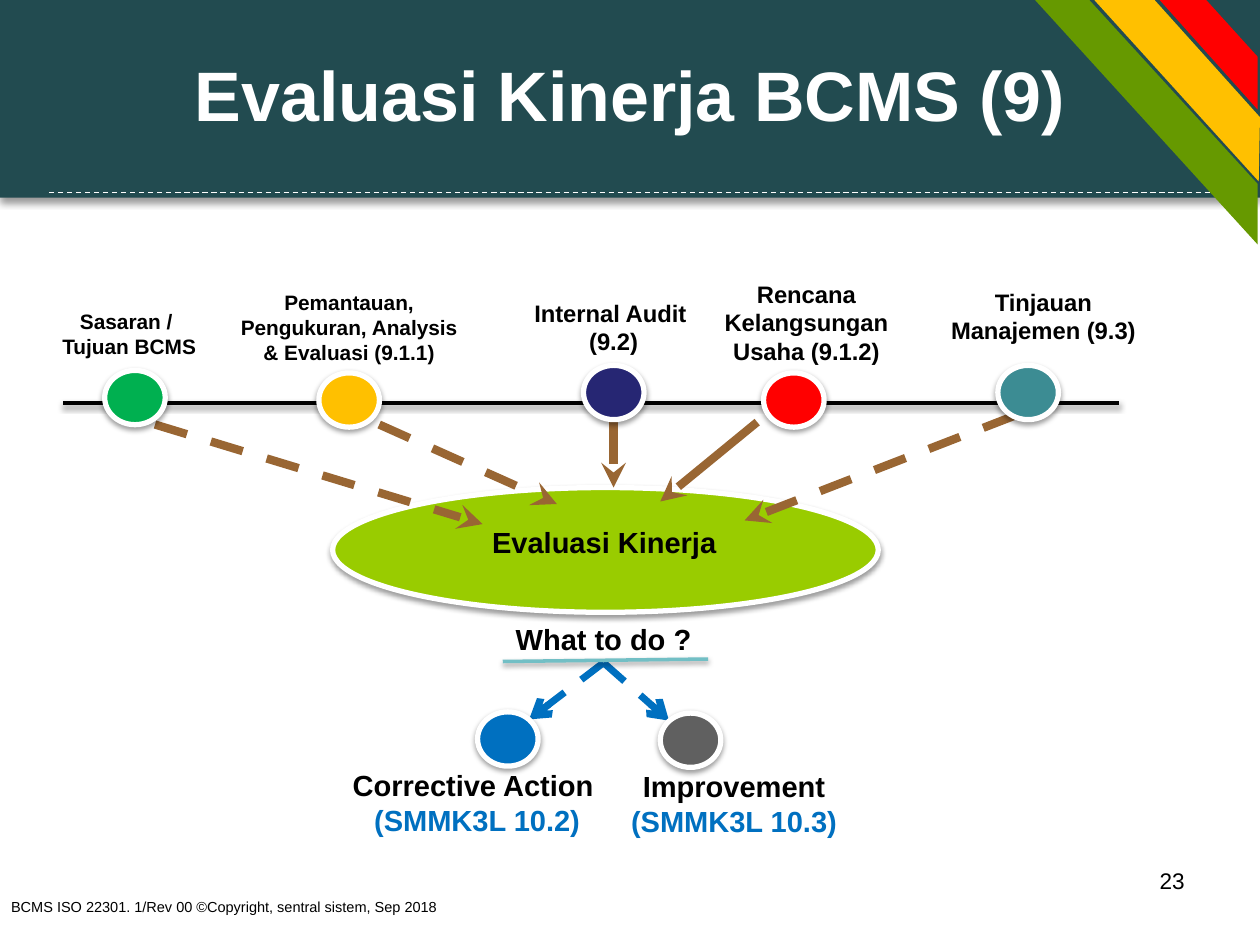
"""Build the BCMS performance evaluation slide."""
import lxml.etree
import pptx
import pptx.dml.color
import pptx.enum.dml
import pptx.enum.shapes
import pptx.enum.text
import pptx.oxml.ns
import pptx.util

Pt = pptx.util.Pt
qn = pptx.oxml.ns.qn
Align = pptx.enum.text.PP_ALIGN
Preset = pptx.enum.shapes.MSO_SHAPE

THEME = {
    "font": "Arial",
    "size": {"title": 40, "main": 16.6, "page": 12.9, "label": 13.6, "small": 11.9, "footer": 8.3},
    "colour": {
        name: pptx.dml.color.RGBColor.from_string(value)
        for name, value in {
            "black": "000000", "white": "FFFFFF", "header": "224B50", "lime": "99CC00",
            "brown": "996633", "blue": "0070C0", "aqua": "72BFC5", "amber": "FFC000",
            "red": "FF0000", "navy": "262673", "grey": "606060", "green": "00B050",
            "teal": "3C8C93", "leaf": "669900",
        }.items()
    },
    "soft": {"blur": 3.1, "distance": 1.6, "opacity": 38},
    "deep": {"blur": 4, "distance": 3, "opacity": 40},
}
COLOUR, SIZE = THEME["colour"], THEME["size"]


def write(box, text, size="main", colours=("black",), bold=True, align=Align.CENTER, inset=None):
    """Fill a box with one paragraph per line; the last colour carries on."""
    frame = box.text_frame
    frame.word_wrap = True
    if inset is not None:
        frame.margin_left = frame.margin_right = frame.margin_top = frame.margin_bottom = Pt(inset)
    for index, line in enumerate(text.split("\n")):
        para = frame.add_paragraph() if index else frame.paragraphs[0]
        para.alignment = align
        span = para.add_run()
        span.text = line
        span.font.name = THEME["font"]
        span.font.size = Pt(SIZE[size])
        span.font.bold = bold
        span.font.color.rgb = COLOUR[colours[min(index, len(colours) - 1)]]


def set_shadow(shape, shadow=None):
    """Replace the theme shadow of a shape with the given one or none."""
    effects = lxml.etree.SubElement(shape._element.spPr, qn("a:effectLst"))
    if shadow:
        outer = lxml.etree.SubElement(
            effects, qn("a:outerShdw"), blurRad=str(Pt(shadow["blur"])),
            dist=str(Pt(shadow["distance"])), dir="5400000", rotWithShape="0")
        tint = lxml.etree.SubElement(outer, qn("a:srgbClr"), val=str(COLOUR["black"]))
        lxml.etree.SubElement(tint, qn("a:alpha"), val=str(shadow["opacity"] * 1000))


deck = pptx.Presentation()
deck.slide_width, deck.slide_height = Pt(720), Pt(540)
page = deck.slides.add_slide(deck.slide_layouts[6])

header = page.shapes.add_shape(Preset.RECTANGLE, Pt(0), Pt(-5.8), Pt(720), Pt(118.8))
header.fill.solid()
header.fill.fore_color.rgb = COLOUR["header"]
header.line.fill.background()
set_shadow(header, THEME["deep"])
header.text_frame.vertical_anchor = pptx.enum.text.MSO_ANCHOR.MIDDLE
write(header, "Evaluasi Kinerja BCMS (9)", size="title", colours=("white",))

dot = (34.6, 31)
ovals = [
    (190.1, 278.6, 311.8, 71.3, "lime"),
    (59.8, 211.7, *dot, "green"),
    (182.2, 213.1, *dot, "amber"),
    (333.4, 208.8, *dot, "navy"),
    (436.3, 213.1, *dot, "red"),
    (570.2, 208.8, *dot, "teal"),
    (272.9, 406.8, *dot, "blue"),
    (377.3, 407.5, *dot, "grey"),
]
lines = [
    (28, 110.2, 692.6, 110.2, "white", 0.75, True, None, None),
    (36, 230.4, 639.4, 230.4, "black", 2, False, None, THEME["soft"]),
    (88.6, 242.6, 275.8, 299.5, "brown", 4.75, True, "stealth", None),
    (216.7, 242.6, 318.2, 288, "brown", 4.75, True, "stealth", None),
    (350.6, 241.2, 350.6, 278.6, "brown", 4.75, False, "stealth", None),
    (432.7, 241.2, 377.3, 286.6, "brown", 4.75, False, "stealth", None),
    (579.6, 237.6, 425.5, 297.4, "brown", 4.75, True, "stealth", None),
    (344.9, 378.7, 302.4, 411.1, "blue", 4, True, "arrow", None),
    (344.9, 378.7, 382.3, 411.8, "blue", 4, True, "arrow", None),
    (287.3, 378, 404.6, 376.6, "aqua", 2, False, None, THEME["soft"]),
]


for index, (left, top, width, height, colour) in enumerate(ovals):
    oval = page.shapes.add_shape(Preset.OVAL, Pt(left), Pt(top), Pt(width), Pt(height))
    oval.fill.solid()
    oval.fill.fore_color.rgb = COLOUR[colour]
    oval.line.color.rgb = COLOUR["white"]
    oval.line.width = Pt(3)
    set_shadow(oval, THEME["soft"])
    if index:
        continue
    for x1, y1, x2, y2, stroke, weight, dashed, arrow, shadow in lines:
        line = page.shapes.add_connector(
            pptx.enum.shapes.MSO_CONNECTOR.STRAIGHT, Pt(x1), Pt(y1), Pt(x2), Pt(y2))
        line.line.color.rgb = COLOUR[stroke]
        line.line.width = Pt(weight)
        if dashed:
            line.line.dash_style = pptx.enum.dml.MSO_LINE.DASH
        if arrow:
            lxml.etree.SubElement(line.line._get_or_add_ln(), qn("a:tailEnd"), type=arrow)
        set_shadow(line, shadow)

small = {"size": "small", "inset": 0}
label = {"size": "label"}
action = {"colours": ("black", "blue")}
texts = [
    (26.6, 176.4, 94.3, 28.8, "Sasaran / \nTujuan BCMS", small),
    (136.8, 165.6, 125.3, 43.2, "Pemantauan, Pengukuran, Analysis & Evaluasi (9.1.1)", small),
    (292.3, 167, 116.6, 40.3, "Internal Audit \n(9.2)", label),
    (360, 156.2, 201.6, 56.9, "Rencana\nKelangsungan\nUsaha (9.1.2)", label),
    (495.4, 160.6, 201.6, 40.3, "Tinjauan\nManajemen (9.3)", label),
    (249.8, 295.9, 190.8, 27.4, "Evaluasi Kinerja", {}),
    (282.2, 351.4, 125.3, 27.4, "What to do ?", {}),
    (190.1, 434.9, 164.9, 47.5, "Corrective Action \n(SMMK3L 10.2)", action),
    (350.6, 435.6, 137.5, 47.5, "Improvement\n(SMMK3L 10.3)", action),
    (516.2, 491.8, 167.8, 37.4, "23", {"size": "page", "bold": False, "align": Align.RIGHT}),
    (-0.7, 509.8, 338.4, 25.9, "BCMS ISO 22301. 1/Rev 00 ©Copyright, sentral sistem, Sep 2018",
     {"size": "footer", "bold": False, "align": Align.LEFT}),
]
for left, top, width, height, text, style in texts:
    write(page.shapes.add_textbox(Pt(left), Pt(top), Pt(width), Pt(height)), text, **style)

ribbons = {
    "amber": [(621.4, -4.3), (655.9, -4.3), (720, 67), (719.3, 103.7)],
    "leaf": [(587.5, -4.3), (618.5, -4.3), (718.6, 105.1), (718.6, 139.7)],
    "red": [(658.8, -4.3), (685.4, -4.3), (718.6, 32.4), (718.6, 62.6)],
}
for colour, corners in ribbons.items():
    start, *others = [(Pt(x), Pt(y)) for x, y in corners]
    outline = page.shapes.build_freeform(*start)
    outline.add_line_segments(others, close=True)
    ribbon = outline.convert_to_shape()
    ribbon.fill.solid()
    ribbon.fill.fore_color.rgb = COLOUR[colour]
    ribbon.line.fill.background()
    set_shadow(ribbon)

deck.save("out.pptx")
